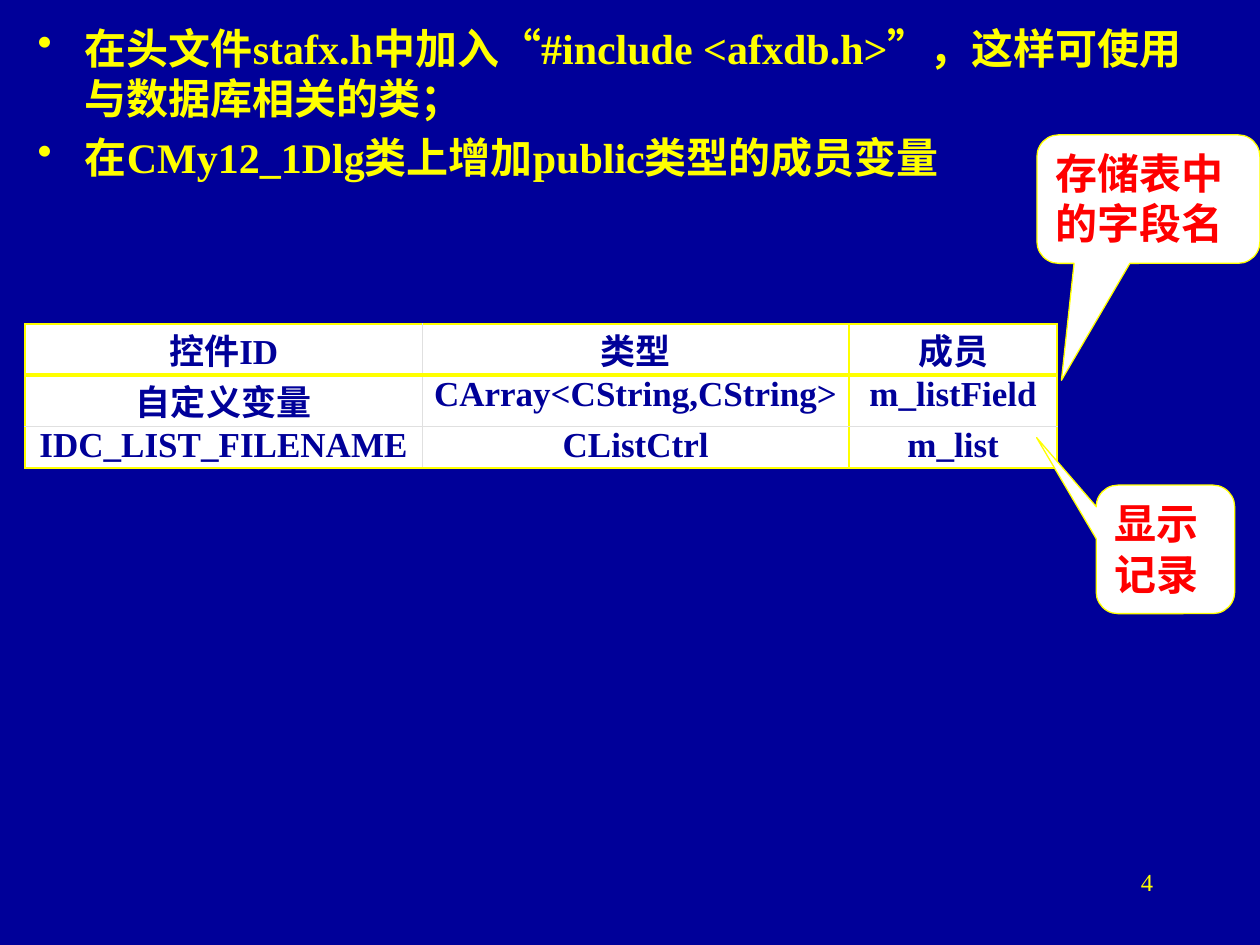
from lxml.etree import SubElement as Sub
from pptx import Presentation
from pptx.dml.color import RGBColor as Rgb
from pptx.enum.shapes import MSO_SHAPE as Kind
from pptx.enum.text import MSO_ANCHOR as Anchor, PP_ALIGN as Align
from pptx.oxml.ns import qn
from pptx.util import Inches, Pt

HUES = {"back": "000099", "gold": "FFFF00", "white": "FFFFFF",
        "red": "FF0000", "pale": "E0E0E0"}
FONT = "Times New Roman"
COLS, ROWS = 100, 75
WIDE, HIGH = Inches(10), Inches(7.5)
NOTES = ["在头文件stafx.h中加入“#include <afxdb.h>”，这样可使用与数据库相关的类；",
         "在CMy12_1Dlg类上增加public类型的成员变量"]
CELLS = [["控件ID", "类型", "成员"],
         ["自定义变量", "CArray<CString,CString>", "m_listField"],
         ["IDC_LIST_FILENAME", "CListCtrl", "m_list"]]


def hue(name):
    """Return the named colour."""
    return Rgb.from_string(HUES[name])


def across(cols):
    """Turn grid columns into a length."""
    return int(WIDE * cols / COLS)


def down(rows):
    """Turn grid rows into a length."""
    return int(HIGH * rows / ROWS)


def area(x, y, w, h):
    """Turn a grid area into left, top, width and height."""
    return across(x), down(y), across(w), down(h)


def write(frame, lines, size=24, tone="gold", bold=True, align=Align.LEFT, bullet=False):
    """Fill a text frame with lines in one format."""
    frame.word_wrap = True
    for i, line in enumerate(lines):
        para = frame.paragraphs[0] if i == 0 else frame.add_paragraph()
        para.alignment = align
        run = para.add_run()
        run.text = line
        font = run.font
        font.name, font.size, font.bold = FONT, Pt(size), bold
        font.color.rgb = hue(tone)
        if bullet:
            para.space_before = Pt(size * 0.2)
            props = para._p.get_or_add_pPr()
            props.set("marL", str(across(3.75)))
            props.set("indent", str(-across(3.75)))
            Sub(props, qn("a:buChar")).set("char", "•")


def label(slide, spot, lines, **form):
    """Add a text box."""
    box = slide.shapes.add_textbox(*area(*spot))
    write(box.text_frame, lines, **form)


def edge(cell, side, tone, width):
    """Draw one border of a cell."""
    line = Sub(cell._tc.get_or_add_tcPr(), qn("a:ln" + side))
    line.set("w", str(Pt(width)))
    fill = Sub(line, qn("a:solidFill"))
    Sub(fill, qn("a:srgbClr")).set("val", HUES[tone])


def grid(slide, spot, wides, highs):
    """Add the table of member variables."""
    table = slide.shapes.add_table(len(highs), len(wides), *area(*spot)).table
    table.first_row = table.horz_banding = False
    for col, wide in zip(table.columns, wides):
        col.width = across(wide)
    for row, high in zip(table.rows, highs):
        row.height = down(high)
    gold, thick, pale = ("gold", 1), ("gold", 3), ("pale", 0.25)
    sides = [gold, pale, gold, gold]
    levels = [gold, thick, pale, gold]
    for r, row in enumerate(CELLS):
        for c, text in enumerate(row):
            cell = table.cell(r, c)
            cell.margin_left = cell.margin_right = across(0.7)
            cell.margin_top = cell.margin_bottom = 0
            for side, style in zip("LRTB", (sides[c], sides[c + 1], levels[r], levels[r + 1])):
                edge(cell, side, *style)
            cell.fill.solid()
            cell.fill.fore_color.rgb = hue("white")
            write(cell.text_frame, [text], size=20, tone="back", align=Align.CENTER)


def callout(slide, spot, text, tip):
    """Add a rounded callout whose tail ends at the tip."""
    shape = slide.shapes.add_shape(Kind.ROUNDED_RECTANGULAR_CALLOUT, *area(*spot))
    shape.shadow.inherit = False
    for i, value in enumerate((*tip, 0.17)):
        shape.adjustments[i] = value
    shape.fill.solid()
    shape.fill.fore_color.rgb = hue("white")
    shape.line.color.rgb = hue("gold")
    shape.line.width = Pt(0.75)
    shape.text_frame.vertical_anchor = Anchor.TOP
    write(shape.text_frame, [text], tone="red")


def main():
    """Build and save the slide."""
    deck = Presentation()
    deck.slide_width, deck.slide_height = WIDE, HIGH
    slide = deck.slides.add_slide(deck.slide_layouts[6])
    back = slide.background.fill
    back.solid()
    back.fore_color.rgb = hue("back")
    label(slide, (2, 1.3, 96.1, 15), NOTES, bullet=True)
    label(slide, (71.7, 68.3, 20.8, 5), ["4"], size=14, bold=False, align=Align.RIGHT)
    grid(slide, (2, 25.7, 81.9, 11.2), (31.5, 33.9, 16.5), (4.05, 4.05, 3.1))
    callout(slide, (82.3, 10.7, 17.7, 10.2), "存储表中的字段名", (-0.39, 1.41))
    callout(slide, (87, 38.5, 11, 10.2), "显示记录", (-0.93, -0.87))
    deck.save("out.pptx")


if __name__ == "__main__":
    main()
